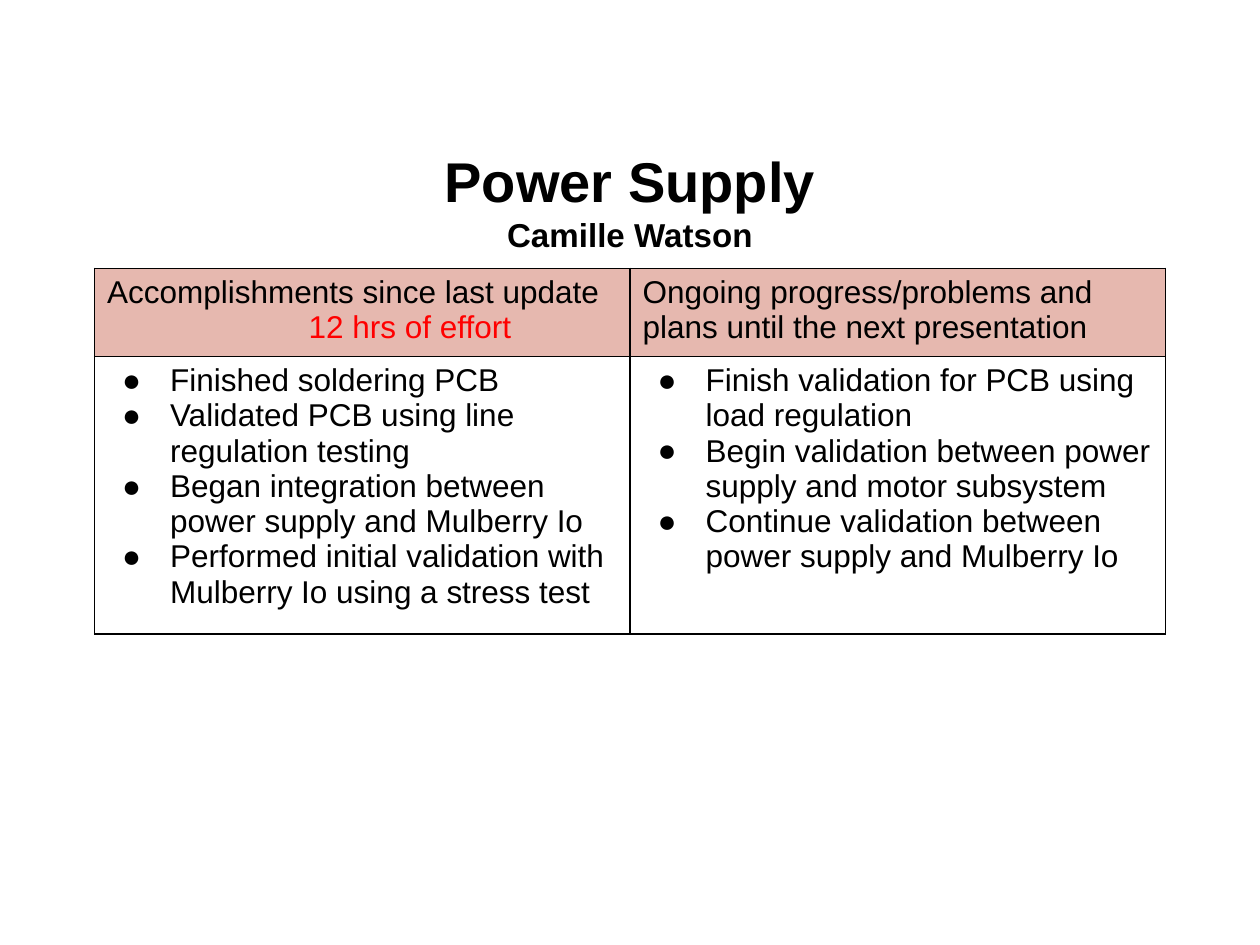
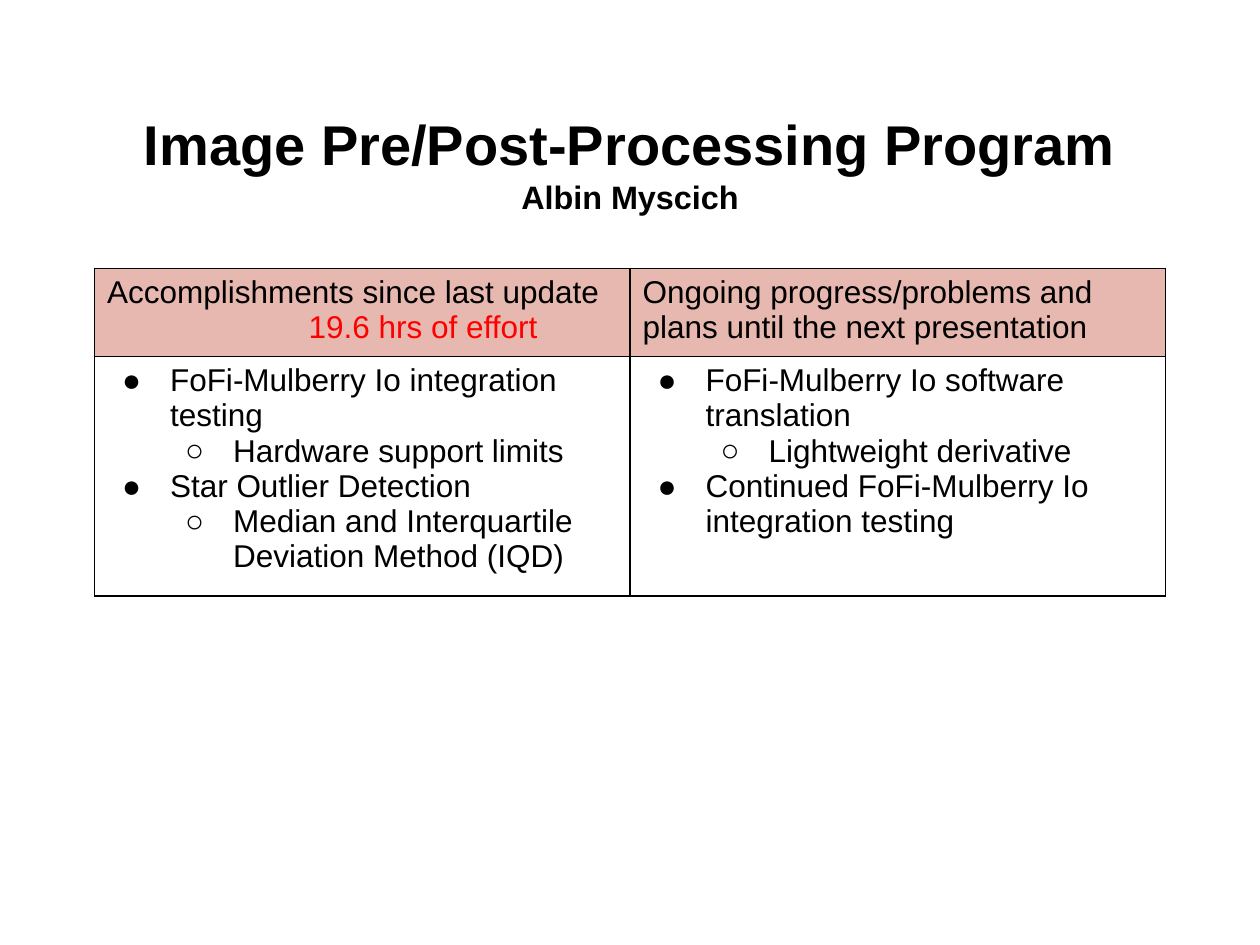
from lxml import etree
from pptx import Presentation
from pptx.dml.color import RGBColor
from pptx.enum.text import MSO_ANCHOR, PP_ALIGN
from pptx.oxml.ns import qn
from pptx.util import Pt

PX = 9144  # 100 px to the inch
FONT = "Arial"
BLACK = RGBColor(0x00, 0x00, 0x00)
RED = RGBColor(0xFF, 0x00, 0x00)
PINK = RGBColor(0xE6, 0xB8, 0xAF)
MIDDLE, CENTER = MSO_ANCHOR.MIDDLE, PP_ALIGN.CENTER

BULLETS = "●○"
HANGING = 38
EFFORT_INDENT = 160
DONE_HEADER = "Accomplishments since last update"
PLANS_HEADER = "Ongoing progress/problems and plans until the next presentation"

# Each task is (level, text).
UPDATES = [
    dict(
        title="Power Supply", author="Camille Watson", author_size=18.9,
        title_top=115, effort="12 hrs of effort",
        done=[
            (0, "Finished soldering PCB"),
            (0, "Validated PCB using line regulation testing"),
            (0, "Began integration between power supply and Mulberry Io"),
            (0, "Performed initial validation with Mulberry Io using a stress test"),
        ],
        plans=[
            (0, "Finish validation for PCB using load regulation"),
            (0, "Begin validation between power supply and motor subsystem"),
            (0, "Continue validation between power supply and Mulberry Io"),
        ],
    ),
    dict(
        title="Image Pre/Post-Processing Program", author="Albin Myscich",
        author_size=18.5, title_top=85, effort="19.6 hrs of effort",
        done=[
            (0, "FoFi-Mulberry Io integration testing"),
            (1, "Hardware support limits"),
            (0, "Star Outlier Detection"),
            (1, "Median and Interquartile Deviation Method (IQD)"),
        ],
        plans=[
            (0, "FoFi-Mulberry Io software translation"),
            (1, "Lightweight derivative"),
            (0, "Continued FoFi-Mulberry Io integration testing"),
        ],
    ),
]


def add_line(tf, text, size=18, color=BLACK, bold=False):
    """Write text in the frame's empty first paragraph, or in a new one."""
    p = tf.paragraphs[0] if not tf.paragraphs[0].runs else tf.add_paragraph()
    r = p.add_run()
    r.text = text
    r.font.name, r.font.size, r.font.bold = FONT, Pt(size), bold
    r.font.color.rgb = color
    return p


def add_borders(cell):
    tcPr = cell._tc.get_or_add_tcPr()
    for side in ("lnL", "lnR", "lnT", "lnB"):
        ln = etree.SubElement(tcPr, qn("a:" + side), w=str(Pt(1)))
        fill = etree.SubElement(ln, qn("a:solidFill"))
        etree.SubElement(fill, qn("a:srgbClr"), val=str(BLACK))


prs = Presentation()
prs.slide_width, prs.slide_height = 1000 * PX, 750 * PX

for update in UPDATES:
    s = prs.slides.add_slide(prs.slide_layouts[6])

    # Title and author
    sp = s.shapes.add_textbox(50 * PX, update["title_top"] * PX, 900 * PX, 88 * PX)
    tf = sp.text_frame
    tf.word_wrap, tf.vertical_anchor = True, MIDDLE
    add_line(tf, update["title"], 32, bold=True).alignment = CENTER
    add_line(tf, update["author"], update["author_size"], bold=True).alignment = CENTER

    # Table frame
    table = s.shapes.add_table(2, 2, 75 * PX, 213 * PX, 850 * PX, 260 * PX).table
    table.first_row = table.horz_banding = False
    table.rows[0].height, table.rows[1].height = 70 * PX, 190 * PX
    for cell in table.iter_cells():
        add_borders(cell)
        cell.fill.background()

    # Header row
    for col in range(2):
        fill = table.cell(0, col).fill
        fill.solid()
        fill.fore_color.rgb = PINK
    tf = table.cell(0, 0).text_frame
    add_line(tf, DONE_HEADER)
    p = add_line(tf, update["effort"], color=RED)
    p._p.get_or_add_pPr().set("marL", str(EFFORT_INDENT * PX))
    add_line(table.cell(0, 1).text_frame, PLANS_HEADER)

    # Bulleted tasks
    for col, tasks in enumerate((update["done"], update["plans"])):
        tf = table.cell(1, col).text_frame
        for level, text in tasks:
            p = add_line(tf, text)
            p.level = level
            pPr = p._p.get_or_add_pPr()
            pPr.set("marL", str(50 * (level + 1) * PX))
            pPr.set("indent", str(-HANGING * PX))
            color = etree.SubElement(pPr, qn("a:buClr"))
            etree.SubElement(color, qn("a:srgbClr"), val=str(BLACK))
            etree.SubElement(pPr, qn("a:buFont"), typeface=FONT)
            etree.SubElement(pPr, qn("a:buChar"), char=BULLETS[level])

prs.save("out.pptx")
